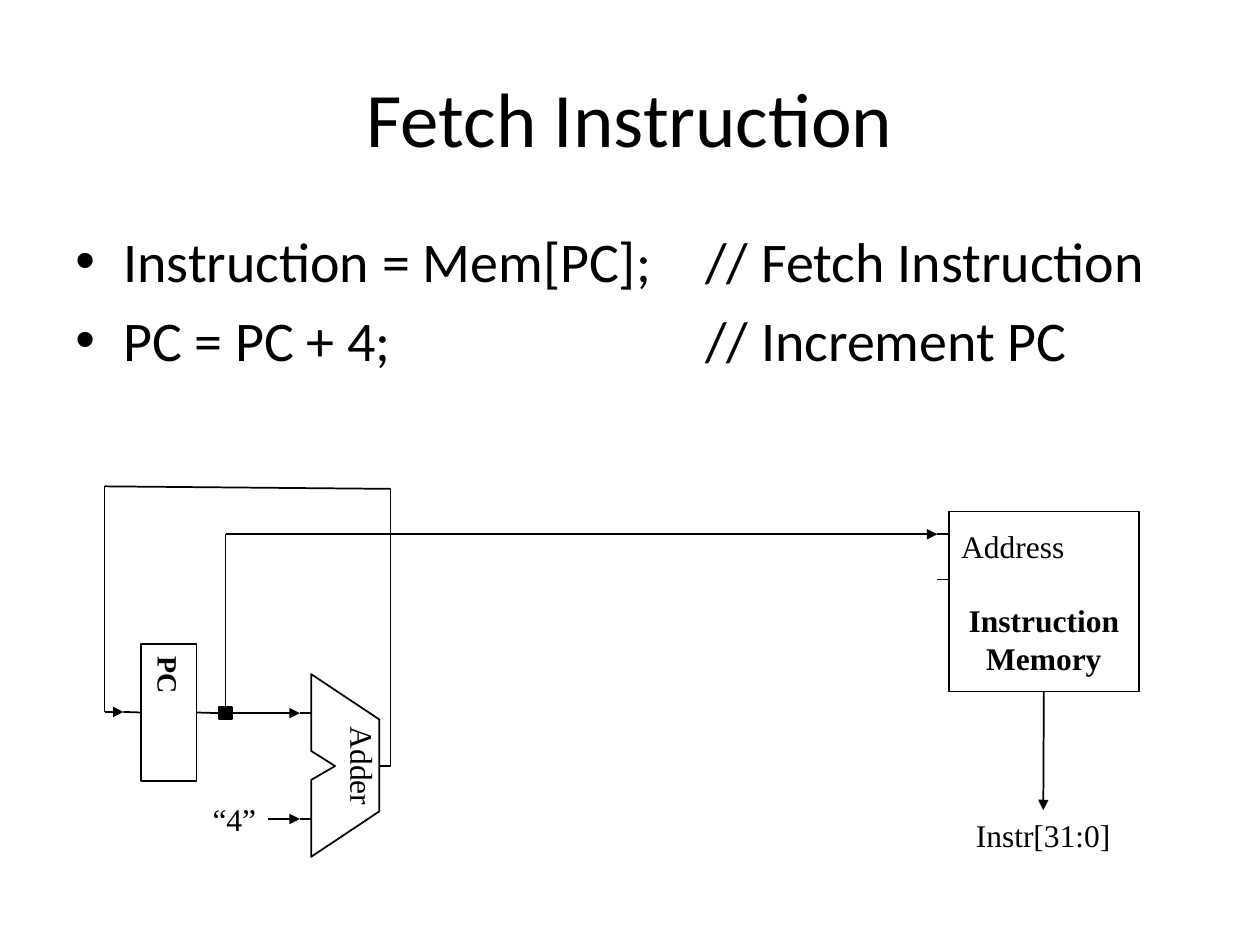
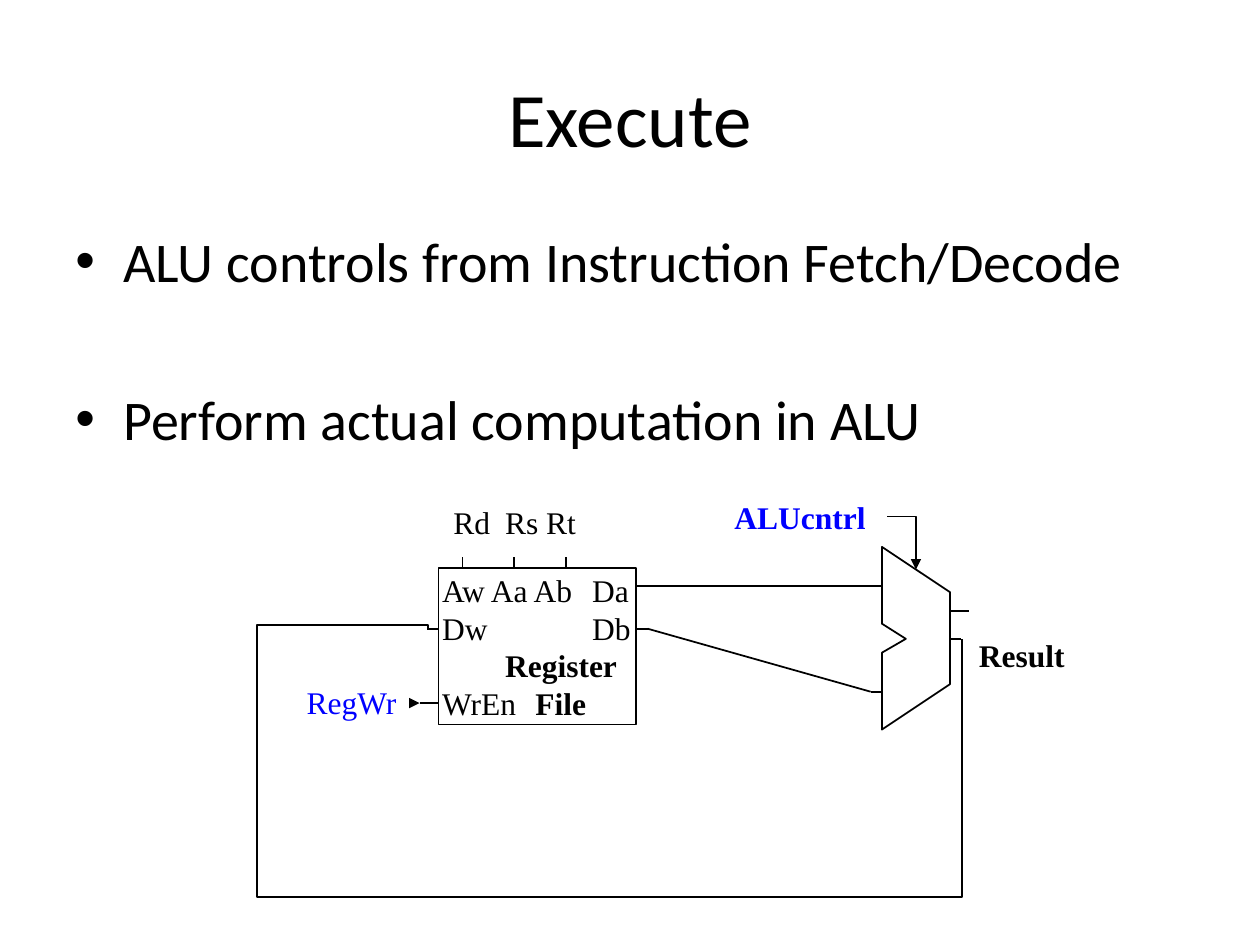
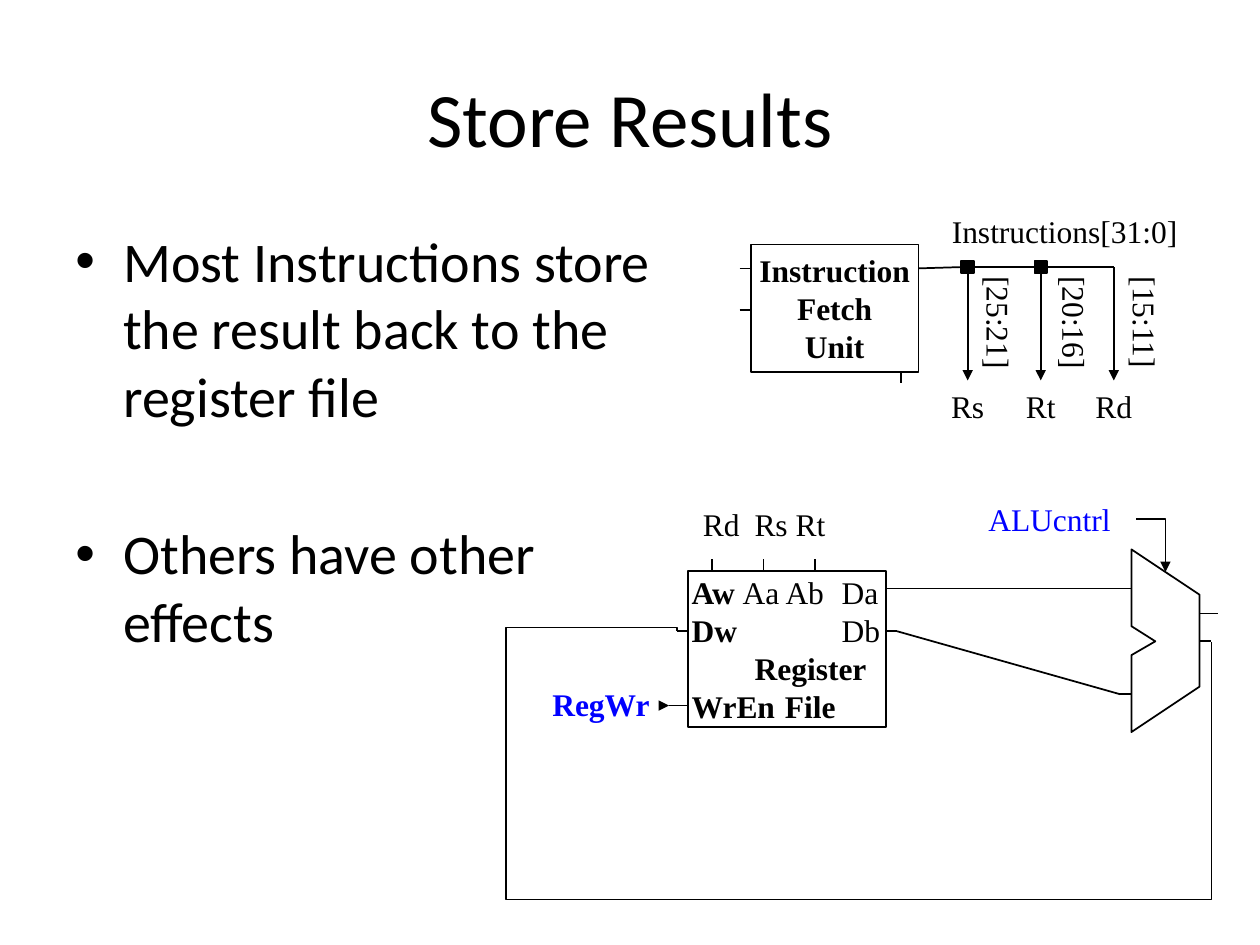
"""Build three slides on the fetch, execute and store steps of a processor datapath."""
import pptx
import pptx.dml.color
import pptx.enum.shapes
import pptx.enum.text
import pptx.oxml
import pptx.oxml.ns
import pptx.util

Inches, Pt = pptx.util.Inches, pptx.util.Pt
RGB = pptx.dml.color.RGBColor.from_string
qn = pptx.oxml.ns.qn
ALIGN = pptx.enum.text.PP_ALIGN
ANCHOR = pptx.enum.text.MSO_ANCHOR
SHAPE = pptx.enum.shapes.MSO_SHAPE
LINK = pptx.enum.shapes.MSO_CONNECTOR
TOP, LEFT, BOTTOM, RIGHT = range(4)

THEME = {
    "ink": "000000", "paper": "FFFFFF", "control": "0000FF",
    "head_font": "Calibri", "diagram_font": "Times New Roman",
    "title": 44, "body": 32, "label": 18, "register": 16, "line": 1,
}

TITLES = ["Fetch Instruction", "Execute", "Store Results"]
BODIES = [
    {"box": (0.5, 1.75, 9, 4.95), "gap": 6.4, "tabs": [5],
     "items": ["Instruction = Mem[PC];\t// Fetch Instruction", "PC = PC + 4;\t// Increment PC"]},
    {"box": (0.5, 1.75, 9, 2.17), "gap": 51.8, "tabs": [],
     "items": ["ALU controls from Instruction Fetch/Decode", "Perform actual computation in ALU"]},
    {"box": (0.5, 1.75, 4.97, 4.95), "gap": 51.8, "tabs": [],
     "items": ["Most Instructions store the result back to the register file",
               "Others have other effects"]},
]

ALU_OUTLINE = [(0, 0), (0.54, 0.36), (0.54, 1.09), (0, 1.45), (0, 0.84), (0.19, 0.73), (0, 0.61)]
ALU_INPUTS = [0.31, 1.15]
ALU_OUTPUT = 0.73
STUB = 0.09

REGISTER_TABS = [[1.19], [1.19], [0.5], [0.74]]
REGISTER_FILES = {
    "execute": [[("Aw Aa Ab\tDa", False)], [("Dw\tDb", False)],
                [("\tRegister", True)], [("WrEn\t", False), ("File", True)]],
    "store": [[("Aw ", True), ("Aa Ab\tDa", False)], [("Dw\t", True), ("Db", False)],
              [("\tRegister", True)], [("WrEn\tFile", True)]],
}
FIELDS = [("Rs", 7.68, "[25:21]", 7.93), ("Rt", 8.26, "[20:16]", 8.53), ("Rd", 8.84, "[15:11]", 9.09)]


def assign(obj, values):
    for name, value in values.items():
        setattr(obj, name, value)


def add_text(p, text, size=THEME["label"], font=THEME["diagram_font"], color=THEME["ink"], bold=False):
    r = p.add_run()
    r.text = text
    assign(r.font, {"size": Pt(size), "name": font, "bold": bold})
    r.font.color.rgb = RGB(color)


def add_tabs(p, stops):
    tabs = pptx.oxml.parse_xml(f'<a:tabLst {pptx.oxml.ns.nsdecls("a")}/>')
    for stop in stops:
        tab = tabs.makeelement(qn("a:tab"), {"pos": str(Inches(stop)), "algn": "l"})
        tabs.append(tab)
    p._p.get_or_add_pPr().append(tabs)


def paragraphs(tf, count):
    return [tf.paragraphs[0]] + [tf.add_paragraph() for _ in range(count - 1)]


def header(s, title, body):
    tf = s.shapes.add_textbox(*map(Inches, (0.5, 0.3, 9, 1.25))).text_frame
    assign(tf, {"word_wrap": True, "vertical_anchor": ANCHOR.MIDDLE})
    tf.paragraphs[0].alignment = ALIGN.CENTER
    add_text(tf.paragraphs[0], title, THEME["title"], THEME["head_font"])
    tf = s.shapes.add_textbox(*map(Inches, body["box"])).text_frame
    tf.word_wrap = True
    for i, (p, item) in enumerate(zip(paragraphs(tf, len(body["items"])), body["items"])):
        if i:
            p.space_before = Pt(body["gap"])
        pPr = p._p.get_or_add_pPr()
        pPr.set("marL", str(Inches(0.38)))
        pPr.set("indent", str(Inches(-0.38)))
        for tag, key, value in [("a:buFont", "typeface", "Arial"), ("a:buChar", "char", "•")]:
            pPr.append(pPr.makeelement(qn(tag), {key: value}))
        if body["tabs"]:
            add_tabs(p, body["tabs"])
        add_text(p, item, THEME["body"], THEME["head_font"])


def paint(sp, fill):
    sp.shadow.inherit = False
    sp.fill.solid()
    sp.fill.fore_color.rgb = RGB(fill)
    sp.line.color.rgb = RGB(THEME["ink"])
    sp.line.width = Pt(THEME["line"])
    return sp


def block(s, x, y, w, h, fill=THEME["paper"]):
    sp = paint(s.shapes.add_shape(SHAPE.RECTANGLE, *map(Inches, (x, y, w, h))), fill)
    assign(sp.text_frame, {"vertical_anchor": ANCHOR.MIDDLE, "word_wrap": True})
    return sp


def dot(s, cx, cy):
    return block(s, cx - 0.05, cy - 0.05, 0.1, 0.1, THEME["ink"])


def label(s, text, cx, cy, w, turn=0, **style):
    sp = s.shapes.add_textbox(*map(Inches, (cx - w / 2, cy - 0.2, w, 0.4)))
    sp.rotation = turn
    assign(sp.text_frame, {"word_wrap": False,
                           "auto_size": pptx.enum.text.MSO_AUTO_SIZE.SHAPE_TO_FIT_TEXT})
    p = sp.text_frame.paragraphs[0]
    p.alignment = ALIGN.CENTER
    add_text(p, text, **style)
    return sp


def ink(c, arrow):
    c.line.color.rgb = RGB(THEME["ink"])
    c.line.width = Pt(THEME["line"])
    if arrow:
        ln = c.line._get_or_add_ln()
        ln.append(ln.makeelement(qn("a:tailEnd"), {"type": "triangle"}))
    spPr = c._element.spPr
    spPr.append(spPr.makeelement(qn("a:effectLst"), {}))


def wire(s, start, end, arrow=False):
    joined = [not isinstance(point[0], (int, float)) for point in (start, end)]
    places = [(0, 0) if j else point for j, point in zip(joined, (start, end))]
    c = s.shapes.add_connector(LINK.STRAIGHT, *(Inches(v) for place in places for v in place))
    if joined[0]:
        c.begin_connect(*start)
    if joined[1]:
        c.end_connect(*end)
    ink(c, arrow)


def bent(s, x, y, w, h, preset, xfrm=None, adjust=(), arrow=False):
    c = s.shapes.add_connector(LINK.ELBOW, *map(Inches, (x, y, x + w, y + h)))
    spPr = c._element.spPr
    for key, value in (xfrm or {}).items():
        spPr.find(qn("a:xfrm")).set(key, value)
    geom = spPr.find(qn("a:prstGeom"))
    geom.set("prst", preset)
    guides = geom.find(qn("a:avLst"))
    for i, value in enumerate(adjust, 1):
        guides.append(guides.makeelement(
            qn("a:gd"), {"name": f"adj{i}", "fmla": f"val {round(value * 100000)}"}))
    ink(c, arrow)


def alu(s, x, y):
    points = [(Inches(x + px), Inches(y + py)) for px, py in ALU_OUTLINE]
    fb = s.shapes.build_freeform(*points[0], scale=1.0)
    fb.add_line_segments(points[1:], close=True)
    paint(fb.convert_to_shape(), THEME["paper"])
    for dy in ALU_INPUTS:
        wire(s, (x - STUB, y + dy), (x, y + dy))
    wire(s, (x + 0.54, y + ALU_OUTPUT), (x + 0.54 + STUB, y + ALU_OUTPUT))


def fetch_path(s):
    alu(s, 2.47, 5.35)
    label(s, "Adder", 2.88, 6.08, 0.85, turn=90)
    pc = block(s, 1.12, 5.11, 0.44, 1.09)
    pc.text_frame.word_wrap = False
    pc.text_frame._txBody.bodyPr.set("vert", "eaVert")
    pc.text_frame.paragraphs[0].alignment = ALIGN.CENTER
    add_text(pc.text_frame.paragraphs[0], "PC", THEME["register"], bold=True)

    memory = block(s, 7.53, 4.06, 1.51, 1.43)
    lines = [("Address", ALIGN.LEFT, 0, False), ("Instruction", ALIGN.CENTER, 20.7, True),
             ("Memory", ALIGN.CENTER, 0, True)]
    for p, (text, align, gap, bold) in zip(paragraphs(memory.text_frame, len(lines)), lines):
        assign(p, {"alignment": align, "space_before": Pt(gap)})
        add_text(p, text, bold=bold)
    for y in (4.24, 4.6):
        wire(s, (7.53 - STUB, y), (7.53, y))

    instr = label(s, "Instr[31:0]", 8.28, 6.63, 1.27)
    label(s, "“4”", 1.86, 6.5, 0.58)
    tap = dot(s, 1.79, 5.66)
    wire(s, (memory, BOTTOM), (instr, TOP), arrow=True)
    loop = [(3.1, 6.08), (3.1, 3.88), (0.83, 3.86), (0.83, 5.65)]
    for start, end in zip(loop, loop[1:]):
        wire(s, start, end)
    wire(s, (0.83, 5.65), (0.98, 5.65), arrow=True)
    wire(s, (0.98, 5.65), (pc, LEFT))
    wire(s, (pc, RIGHT), (tap, LEFT))
    wire(s, (tap, RIGHT), (2.38, 5.66), arrow=True)
    wire(s, (tap, TOP), (1.79, 4.24))
    wire(s, (1.79, 4.24), (7.44, 4.24), arrow=True)
    wire(s, (2.13, 6.5), (2.38, 6.5), arrow=True)


def datapath(s, x, y, rows, bold_control, bold_write):
    alu(s, x + 3.52, y - 0.17)
    wire(s, (x + 4.06, y + 0.34), (x + 4.21, y + 0.34))
    label(s, "ALUcntrl", x + 2.87, y - 0.41, 1.3, color=THEME["control"], bold=bold_control)
    bent(s, x + 3.56, y - 0.41, 0.23, 0.42, "bentConnector2", arrow=True)

    registers = block(s, x, y, 1.57, 1.24)
    assign(registers.text_frame, {"margin_left": Inches(0.03), "margin_right": 0})
    for p, row, stops in zip(paragraphs(registers.text_frame, len(rows)), rows, REGISTER_TABS):
        p.alignment = ALIGN.LEFT
        add_tabs(p, stops)
        for text, bold in row:
            add_text(p, text, bold=bold)
    for i in range(3):
        px = x + 0.19 + 0.41 * i
        wire(s, (px, y), (px, y - STUB))
    wire(s, (x - STUB, y + 0.48), (x, y + 0.48))
    wire(s, (x - 0.15, y + 1.07), (x, y + 1.07))
    wire(s, (x - 0.22, y + 1.07), (x - 0.15, y + 1.07), arrow=True)
    for out, dy in zip((0.14, 0.48), ALU_INPUTS):
        wire(s, (x + 1.57, y + out), (x + 1.57 + STUB, y + out))
        wire(s, (x + 1.57 + STUB, y + out), (x + 3.52 - STUB, y - 0.17 + dy))
    label(s, "RegWr", x - 0.69, y + 1.06, 1.1, color=THEME["control"], bold=bold_write)
    names = s.shapes.add_textbox(*map(Inches, (x + 0.02, y - 0.57, 1.25, 0.4))).text_frame
    names.word_wrap = True
    add_tabs(names.paragraphs[0], [0.41])
    add_text(names.paragraphs[0], "Rd\tRs Rt")
    bent(s, x + 1.99, y - 1.6, 0.09, 4.24, "bentConnector5",
         {"rot": "16200000", "flipV": "1"}, (-22.67, 1.32, 1.27))


def fetch_unit(s):
    unit = block(s, 5.96, 1.94, 1.33, 1.01)
    unit.text_frame.word_wrap = False
    words = ["Instruction", "Fetch", "Unit"]
    for p, word in zip(paragraphs(unit.text_frame, len(words)), words):
        p.alignment = ALIGN.CENTER
        add_text(p, word, bold=True)
    for y in (2.13, 2.46):
        wire(s, (5.96 - STUB, y), (5.96, y))
    wire(s, (7.15, 2.95), (7.15, 3.04))
    label(s, "Instructions[31:0]", 8.45, 1.83, 2.1)
    feed = (7.29, 2.13)
    for name, x, bits, bits_x in FIELDS:
        target = label(s, name, x, 3.22, 0.6)
        label(s, bits, bits_x, 2.56, 1, turn=90)
        if name == "Rd":
            wire(s, feed, (x, 2.12))
            wire(s, (x, 2.12), (target, TOP), arrow=True)
        else:
            tap = dot(s, x, 2.12)
            wire(s, feed, (tap, LEFT))
            wire(s, (tap, BOTTOM), (target, TOP), arrow=True)
            feed = (tap, RIGHT)


def main():
    prs = pptx.Presentation()
    assign(prs, {"slide_width": Inches(10), "slide_height": Inches(7.5)})
    slides = []
    for title, body in zip(TITLES, BODIES):
        s = prs.slides.add_slide(prs.slide_layouts[6])
        header(s, title, body)
        slides.append(s)
    fetch, execute, store = slides
    fetch_path(fetch)
    datapath(execute, 3.48, 4.51, REGISTER_FILES["execute"], True, False)
    label(execute, "Result", 8.11, 5.2, 0.95, bold=True)
    fetch_unit(store)
    datapath(store, 5.46, 4.53, REGISTER_FILES["store"], False, True)
    prs.save("out.pptx")


if __name__ == "__main__":
    main()
